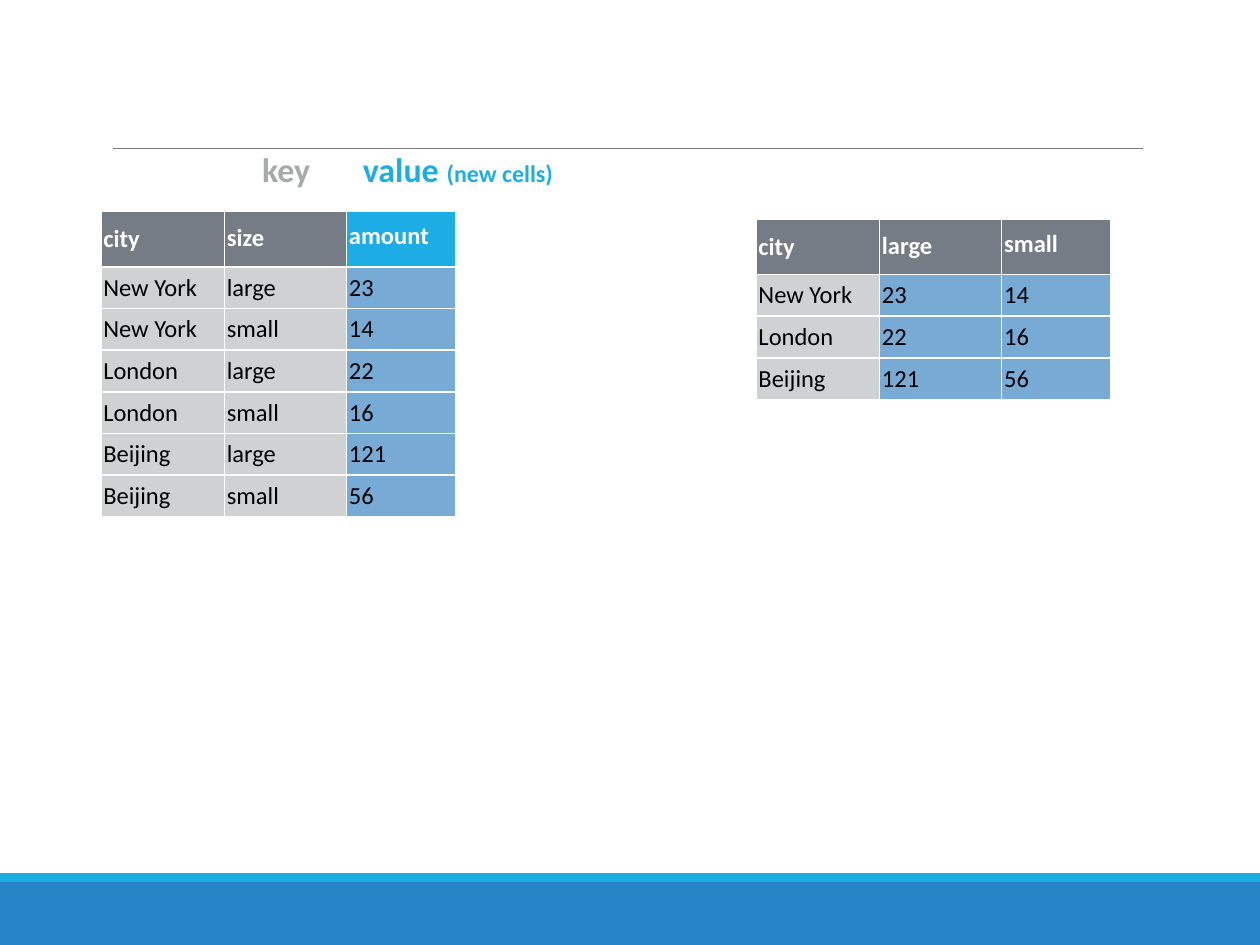
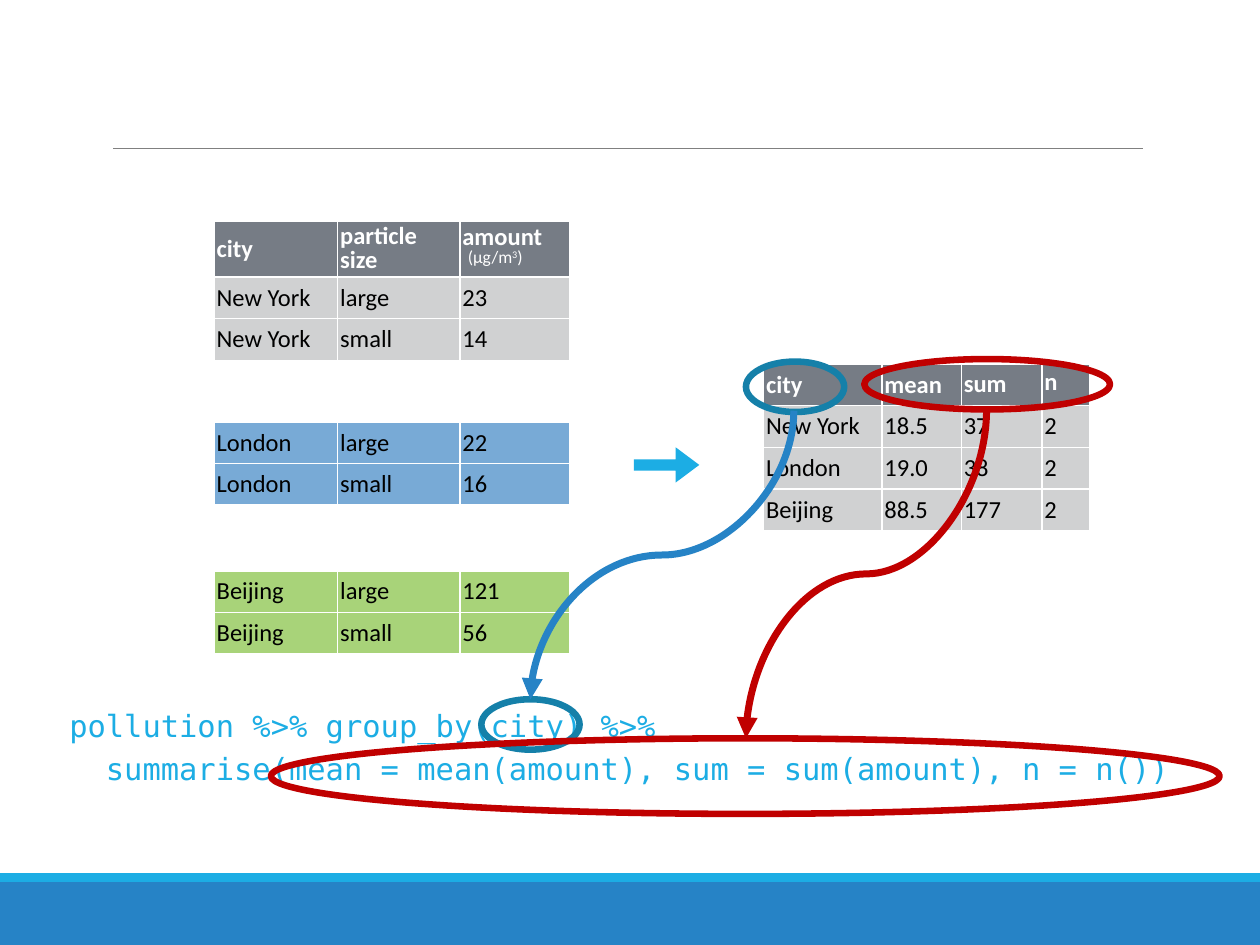
"""Build two slides on reshaping and summarising a pollution table."""
from lxml.etree import SubElement
from pptx import Presentation
from pptx.dml.color import RGBColor
from pptx.enum.shapes import MSO_CONNECTOR as LINK, MSO_SHAPE as SHAPE
from pptx.enum.text import MSO_ANCHOR as ANCHOR, PP_ALIGN as ALIGN
from pptx.oxml import parse_xml
from pptx.oxml.ns import nsdecls, qn
from pptx.util import Inches, Pt

SANS, MONO = "Calibri", "DejaVu Sans Mono"
WHITE, BLACK, GREY, SLATE = "FFFFFF", "000000", "D0D1D2", "767C85"
SKY, BLUE, TEAL, RED = "1CADE4", "2683C6", "1580A9", "C00000"
PALE_BLUE, GREEN, KEY_GREY, RULE_GREY = "78AAD6", "A8D379", "A6AAA9", "808080"

WIDTH, HEIGHT = 10, 7.5
ROW, HEADER_ROW = 0.33, 0.44
DATA_COLUMNS = (0.98, 0.97, 0.87)
SUMMARY_COLUMNS = (0.94, 0.63, 0.64, 0.38)

NEW_YORK = [("New York", "large", "23"), ("New York", "small", "14")]
LONDON = [("London", "large", "22"), ("London", "small", "16")]
BEIJING = [("Beijing", "large", "121"), ("Beijing", "small", "56")]
WIDE = [(large[0], large[2], small[2]) for large, small in (NEW_YORK, LONDON, BEIJING)]
SUMMARY = [("New York", "18.5", "37", "2"),
           ("London", "19.0", "38", "2"),
           ("Beijing", "88.5", "177", "2")]
UNIT = [(" ", 14, None), ("(µg/m", 10, None), ("3", 10, "32000"), (")", 10, None)]

LABELS = [
    (2.05, 21, [("key", 19.4)], KEY_GREY),
    (2.85, 7.9, [("value ", 19.4), ("(new cells)", 13.7)], SKY),
]
CODE = ["pollution %>% group_by(city) %>%",
        "  summarise(mean = mean(amount), sum = sum(amount), n = n())"]
RINGS = [
    ((5.92, 2.87, 0.78, 0.4), TEAL),
    ((3.82, 5.55, 0.78, 0.4), TEAL),
    ((6.86, 2.85, 1.95, 0.4), RED),
    ((2.15, 5.86, 7.53, 0.6), RED),
]
CURVES = [((6.3, 3.26), (4.21, 5.55), BLUE), ((7.83, 3.25), (5.92, 5.86), RED)]


def colour(value):
    return RGBColor.from_string(value)


def style(run, size, shade, bold=False, face=SANS):
    run.font.name, run.font.size, run.font.bold = face, Pt(size), bold
    run.font.color.rgb = colour(shade)


def add_block(slide, kind, box, fill=None, ring=None):
    block = slide.shapes.add_shape(kind, *map(Inches, box))
    block.shadow.inherit = False
    if fill:
        block.fill.solid()
        block.fill.fore_color.rgb = colour(fill)
        block.line.fill.background()
    else:
        block.fill.background()
        block.line.color.rgb = colour(ring)
        block.line.width = Pt(3.75)
    return block


def add_link(slide, kind, start, end, shade, width):
    link = slide.shapes.add_connector(kind, *map(Inches, (*start, *end)))
    link.line.color.rgb = colour(shade)
    link.line.width = Pt(width)
    SubElement(link.element.spPr, qn("a:effectLst"))
    return link


def add_curve(slide, start, end, shade):
    middle_x, middle_y = (start[0] + end[0]) / 2, (start[1] + end[1]) / 2
    across, down = abs(end[0] - start[0]) / 2, abs(end[1] - start[1]) / 2
    curve = add_link(slide, LINK.CURVE, (middle_x - down, middle_y - across),
                     (middle_x + down, middle_y + across), shade, 4)
    properties = curve.element.spPr
    properties.find(qn("a:xfrm")).set("rot", str(90 * 60000))
    SubElement(properties.find(qn("a:ln")), qn("a:tailEnd"), type="triangle")


def add_text(slide, box, anchor):
    frame = slide.shapes.add_textbox(*map(Inches, box)).text_frame
    frame.word_wrap, frame.vertical_anchor = True, anchor
    frame.margin_left = frame.margin_right = Inches(0.03)
    frame.margin_top = frame.margin_bottom = Inches(0.03)
    return frame


def fill_cell(cell, words, fill, shade, bold, spacing):
    cell.fill.solid()
    cell.fill.fore_color.rgb = colour(fill)
    cell.vertical_anchor = ANCHOR.MIDDLE
    cell.margin_left = cell.margin_right = Inches(0.02)
    cell.margin_top = cell.margin_bottom = Inches(0.02)
    line = cell.text_frame.paragraphs[0]
    line.text, line.alignment, line.line_spacing = words, ALIGN.LEFT, spacing
    for run in line.runs:
        style(run, 14, shade, bold)
    properties = cell._tc.get_or_add_tcPr()
    for place, side in enumerate(("lnL", "lnR", "lnT", "lnB")):
        properties.insert(place, parse_xml(
            f'<a:{side} {nsdecls("a")} w="12700"><a:solidFill>'
            f'<a:srgbClr val="{WHITE}"/></a:solidFill></a:{side}>'))


def add_grid(slide, left, top, columns, records, fills, header=None,
             header_fills=None, header_row=HEADER_ROW):
    rows = ([header] if header else []) + records
    heights = [header_row if header and r == 0 else ROW for r in range(len(rows))]
    box = (left, top, sum(columns), sum(heights))
    table = slide.shapes.add_table(len(rows), len(columns), *map(Inches, box)).table
    table.first_row = table.horz_banding = False
    for column, width in zip(table.columns, columns):
        column.width = Inches(width)
    header_spacing = [None] * (len(columns) - 2) + [0.8, 0.6]
    for r, row in enumerate(rows):
        table.rows[r].height = Inches(heights[r])
        heading = header is not None and r == 0
        for c, words in enumerate(row):
            fill = (header_fills or [SLATE] * len(columns))[c] if heading else fills[c]
            fill_cell(table.cell(r, c), words, fill, WHITE if heading else BLACK,
                      heading, header_spacing[c] if heading else None)
    return table


def add_unit(cell):
    line = cell.text_frame.add_paragraph()
    line.alignment, line.line_spacing = ALIGN.LEFT, 0.6
    for words, size, baseline in UNIT:
        run = line.add_run()
        run.text = words
        style(run, size, WHITE)
        if baseline:
            run._r.get_or_add_rPr().set("baseline", baseline)


def dress_layout(slide):
    parts = [
        add_block(slide, SHAPE.RECTANGLE, (0, 7, WIDTH, 0.5), BLUE),
        add_block(slide, SHAPE.RECTANGLE, (0, 6.93, WIDTH, 0.07), SKY),
        add_link(slide, LINK.STRAIGHT, (0.9, 1.18), (9.07, 1.18), RULE_GREY, 0.5),
    ]
    for part in parts:
        slide.slide_layout.shapes.element.append(part.element)


def build_spread(slide):
    add_grid(slide, 0.8, 1.68, DATA_COLUMNS, NEW_YORK + LONDON + BEIJING,
             (GREY, GREY, PALE_BLUE), ("city", "size", "amount"), (SLATE, SLATE, SKY))
    add_grid(slide, 6, 1.74, DATA_COLUMNS, WIDE,
             (GREY, PALE_BLUE, PALE_BLUE), ("city", "large", "small"))
    for left, before, pieces, shade in LABELS:
        line = add_text(slide, (left, 1.18, 2.65, 0.37), ANCHOR.MIDDLE).paragraphs[0]
        line.line_spacing, line.space_before = 0.9, Pt(before)
        for words, size in pieces:
            run = line.add_run()
            run.text = words
            style(run, size, shade, True)


def build_summary(slide):
    code = add_text(slide, (0.52, 5.58, 8.97, 0.74), ANCHOR.TOP)
    code.text = "\n".join(CODE)
    for line in code.paragraphs:
        line.space_before = Pt(3.8)
        style(line.runs[0], 17.4, SKY, face=MONO)
    add_grid(slide, 1.7, 4.53, DATA_COLUMNS, BEIJING, [GREEN] * 3)
    first_group = add_grid(slide, 1.7, 1.76, DATA_COLUMNS, NEW_YORK, [GREY] * 3,
                           ("city", "particle\nsize", "amount"))
    add_unit(first_group.cell(0, 2))
    add_grid(slide, 1.7, 3.35, DATA_COLUMNS, LONDON, [PALE_BLUE] * 3)
    add_grid(slide, 6.06, 2.89, SUMMARY_COLUMNS, SUMMARY, [GREY] * 4,
             ("city", "mean", "sum", "n"), header_row=ROW)
    arrow = add_block(slide, SHAPE.RIGHT_ARROW, (5.03, 3.55, 0.52, 0.28), SKY)
    arrow.adjustments[0], arrow.adjustments[1] = 0.32, 0.67
    for box, shade in RINGS:
        add_block(slide, SHAPE.OVAL, box, ring=shade)
    for start, end, shade in CURVES:
        add_curve(slide, start, end, shade)


def main():
    deck = Presentation()
    deck.slide_width, deck.slide_height = Inches(WIDTH), Inches(HEIGHT)
    blank = deck.slide_layouts[6]
    spread, summary = (deck.slides.add_slide(blank) for _ in range(2))
    dress_layout(spread)
    build_spread(spread)
    build_summary(summary)
    deck.save("out.pptx")


if __name__ == "__main__":
    main()
